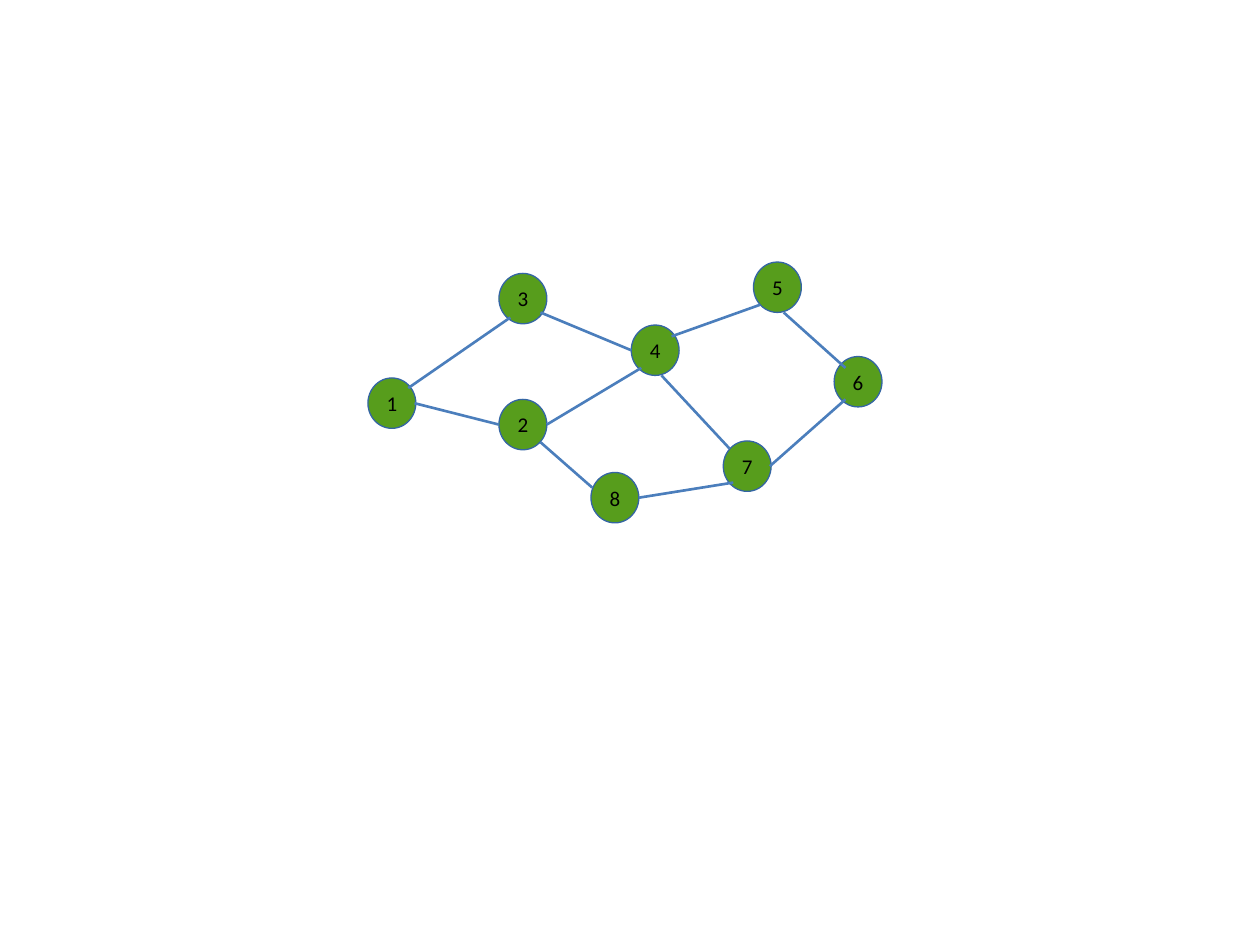
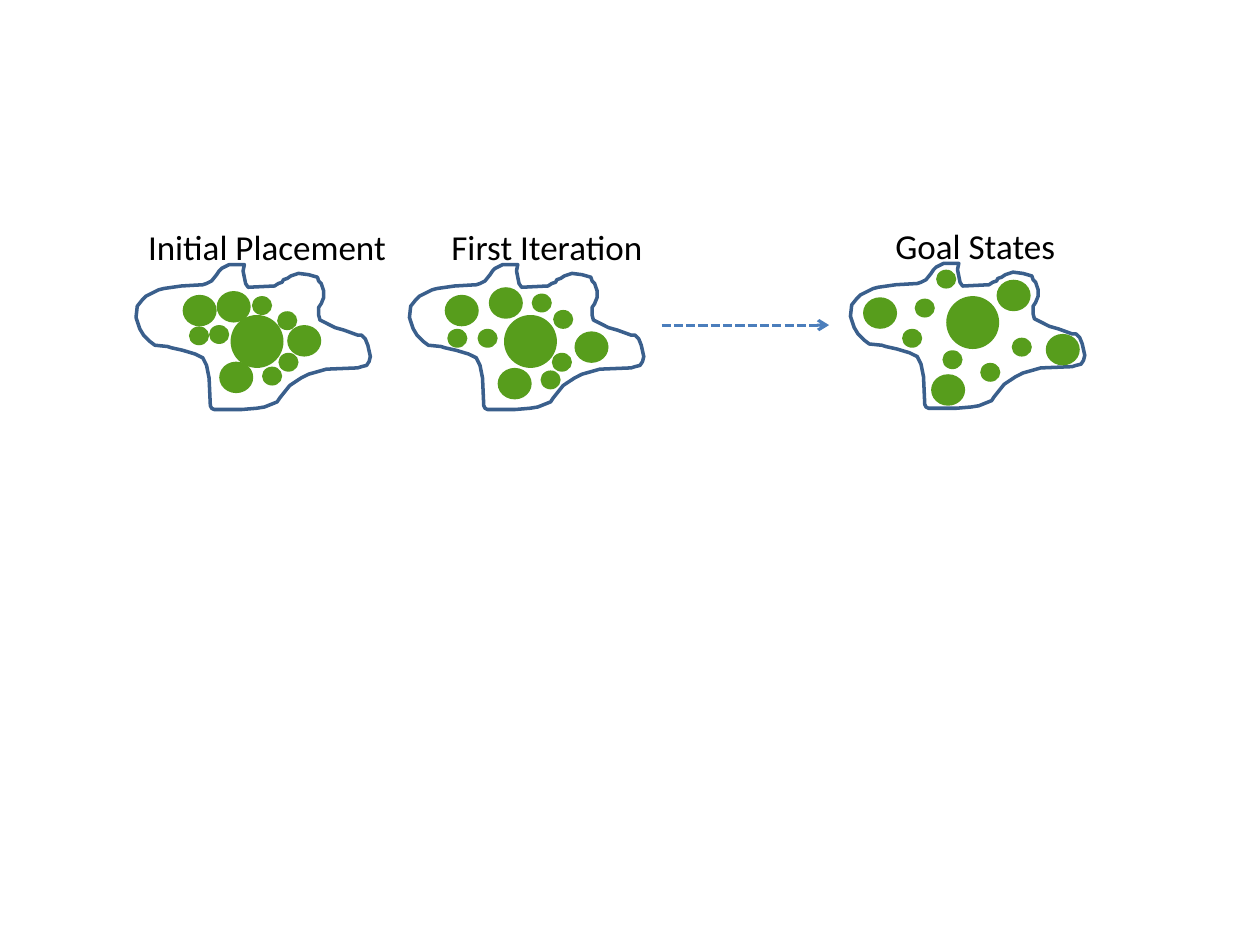
from lxml import etree
from pptx import Presentation
from pptx.dml.color import RGBColor
from pptx.enum.dml import MSO_LINE
from pptx.enum.shapes import MSO_CONNECTOR, MSO_SHAPE
from pptx.enum.text import MSO_ANCHOR, PP_ALIGN
from pptx.oxml.ns import qn
from pptx.util import Pt

PX = 9144  # EMU per px, 100 px to the inch
FONT = "Calibri"

GREEN = RGBColor(0x57, 0x9D, 0x1C)
NODE_EDGE = RGBColor(0x34, 0x65, 0xA4)
LINK_BLUE = RGBColor(0x4B, 0x7E, 0xBC)
REGION_BLUE = RGBColor(0x3A, 0x5F, 0x8C)
BLACK = RGBColor(0, 0, 0)

ELLIPSE = MSO_SHAPE.OVAL
STRAIGHT = MSO_CONNECTOR.STRAIGHT
CENTER = PP_ALIGN.CENTER
MIDDLE = MSO_ANCHOR.MIDDLE
SHORT_DASH = MSO_LINE.SQUARE_DOT

# Graph: node positions and link ends, relative to the graph's box
NODE_SIZE = (38, 40)
NODES = {1: (0, 92), 2: (104, 109), 3: (104, 9), 4: (209, 50),
         5: (306, 0), 6: (370, 75), 7: (282, 142), 8: (177, 167)}
LINKS = [
    (32, 100, 113, 44), (37, 112, 104, 129), (142, 129, 217, 84),
    (137, 40, 209, 70), (241, 59, 311, 34), (319, 162, 379, 109),
    (215, 187, 290, 175), (137, 143, 178, 179), (233, 90, 287, 148),
    (330, 40, 379, 84),
]

# Region outline, relative to the region's box
REGION = [
    (86, 1), (85, 6), (87, 16), (89, 19), (110, 18), (113, 16), (116, 15),
    (117, 13), (120, 12), (123, 10), (129, 8), (137, 9), (144, 11),
    (145, 14), (147, 16), (149, 22), (149, 27), (147, 32), (145, 35),
    (145, 41), (146, 45), (152, 48), (158, 51), (165, 53), (176, 57),
    (179, 57), (182, 60), (184, 65), (186, 74), (185, 78), (183, 81),
    (179, 82), (176, 83), (151, 84), (144, 86), (137, 88), (131, 91),
    (125, 95), (122, 97), (114, 107), (112, 110), (102, 114), (96, 115),
    (84, 116), (62, 116), (60, 115), (59, 113), (58, 91), (56, 81),
    (53, 75), (47, 72), (37, 69), (28, 67), (25, 66), (15, 65), (11, 62),
    (6, 57), (3, 52), (1, 46), (0, 43), (1, 34), (5, 29), (8, 26),
    (18, 21), (22, 20), (36, 18), (53, 17), (56, 16), (60, 14), (64, 9),
    (66, 6), (68, 4), (74, 1),
]

# Packing states: box corner, label centre and circles grouped by size
LARGE, MEDIUM, SMALL = (42, 42), (27, 25), (16, 15)
STATES = [
    ("Initial Placement", (108, 209), 104, {
        LARGE: [(75, 41)],
        MEDIUM: [(37, 25), (64, 22), (120, 49), (66, 78)],
        SMALL: [(42, 50), (100, 82), (92, 26), (113, 71), (58, 49),
                (112, 38)]}),
    ("First Iteration", (325, 209), 109, {
        LARGE: [(75, 41)],
        MEDIUM: [(28, 25), (63, 19), (131, 54), (70, 83)],
        SMALL: [(30, 52), (104, 85), (97, 24), (113, 71), (114, 37),
                (54, 52)]}),
    ("Goal States", (675, 208), 99, {
        LARGE: [(76, 27)],
        MEDIUM: [(10, 28), (155, 57), (64, 89), (116, 14)],
        SMALL: [(128, 60), (103, 80), (68, 6), (41, 53), (51, 29),
                (73, 70)]}),
]


def add_circle(slide, x, y, size):
    circle = slide.shapes.add_shape(
        ELLIPSE, x * PX, y * PX, size[0] * PX, size[1] * PX)
    circle.shadow.inherit = False
    circle.fill.solid()
    circle.fill.fore_color.rgb = GREEN
    circle.line.fill.background()
    return circle


def add_link(slide, x1, y1, x2, y2, weight):
    link = slide.shapes.add_connector(
        STRAIGHT, x1 * PX, y1 * PX, x2 * PX, y2 * PX)
    link.line.color.rgb = LINK_BLUE
    link.line.width = Pt(weight)
    etree.SubElement(link._element.spPr, qn("a:effectLst"))
    return link


def write_centered(frame, text, size):
    frame.margin_left = frame.margin_right = 0
    frame.margin_top = frame.margin_bottom = 0
    frame.vertical_anchor = MIDDLE
    frame.word_wrap = False
    paragraph = frame.paragraphs[0]
    paragraph.text = text
    paragraph.alignment = CENTER
    paragraph.font.name = FONT
    paragraph.font.size = Pt(size)
    paragraph.font.color.rgb = BLACK


def draw_graph(slide, left, top):
    # Numbered nodes
    for number, (x, y) in NODES.items():
        node = add_circle(slide, left + x, top + y, NODE_SIZE)
        node.line.color.rgb = NODE_EDGE
        node.line.width = Pt(0.75)
        write_centered(node.text_frame, str(number), 12)
    # Links
    for x1, y1, x2, y2 in LINKS:
        add_link(slide, left + x1, top + y1, left + x2, top + y2, 1.5)


def draw_state(slide, left, top, label, label_center, circles):
    # Region outline
    points = [(left + x, top + y) for x, y in REGION]
    builder = slide.shapes.build_freeform(*points[0], scale=PX)
    builder.add_line_segments(points[1:], close=True)
    region = builder.convert_to_shape()
    region.shadow.inherit = False
    region.fill.background()
    region.line.color.rgb = REGION_BLUE
    region.line.width = Pt(2)
    # Packed circles
    for size, corners in circles.items():
        for x, y in corners:
            add_circle(slide, left + x, top + y, size)
    # Label
    width, height = 212, 44
    caption = slide.shapes.add_textbox(
        (left + label_center - width // 2) * PX, (top - 35) * PX,
        width * PX, height * PX)
    write_centered(caption.text_frame, label, 20)


def draw_progress_arrow(slide, left, top, length):
    arrow = add_link(slide, left, top, left + length, top, 1.75)
    arrow.line.dash_style = SHORT_DASH
    outline = arrow._element.spPr.find(qn("a:ln"))
    etree.SubElement(outline, qn("a:tailEnd"), type="arrow")


def main():
    deck = Presentation()
    deck.slide_width, deck.slide_height = 1000 * PX, 750 * PX
    blank = deck.slide_layouts[6]

    draw_graph(deck.slides.add_slide(blank), 292, 208)

    packing = deck.slides.add_slide(blank)
    for label, (left, top), label_center, circles in STATES:
        draw_state(packing, left, top, label, label_center, circles)
    draw_progress_arrow(packing, 525, 258, 133)

    deck.save("out.pptx")


if __name__ == "__main__":
    main()
